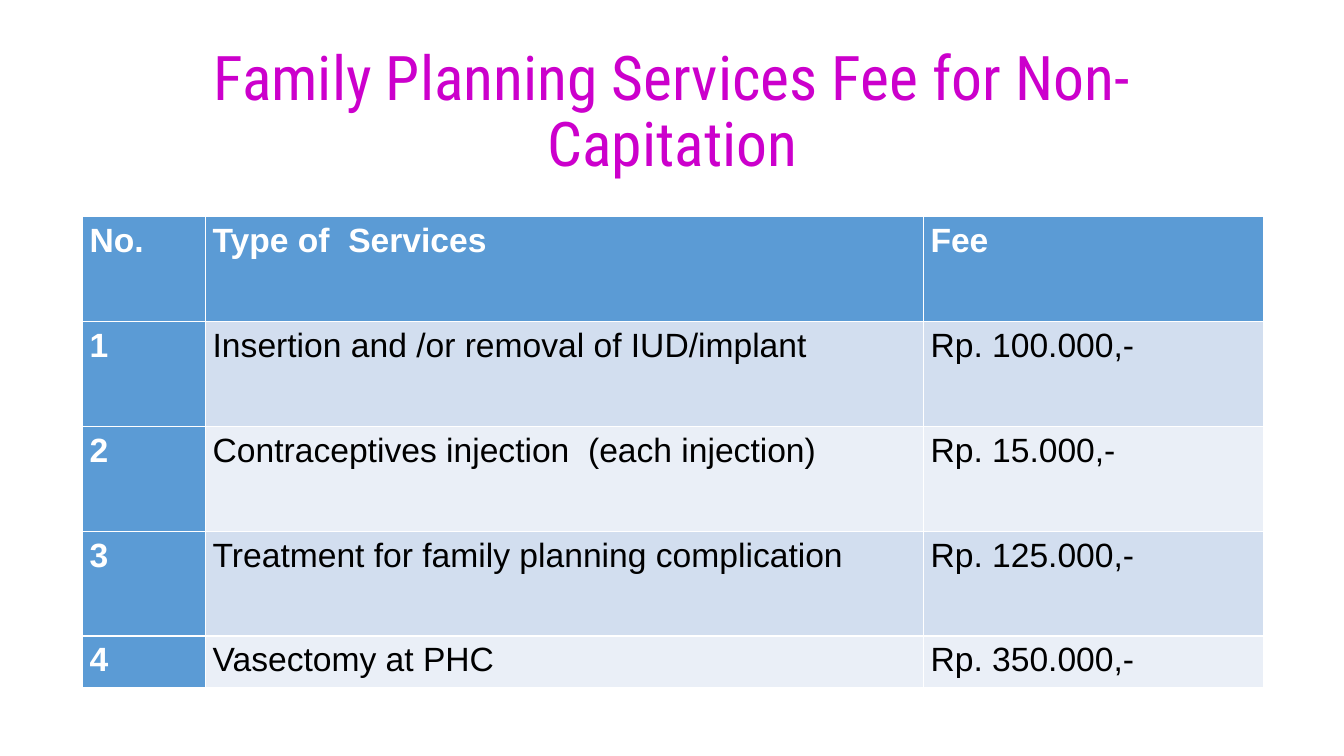
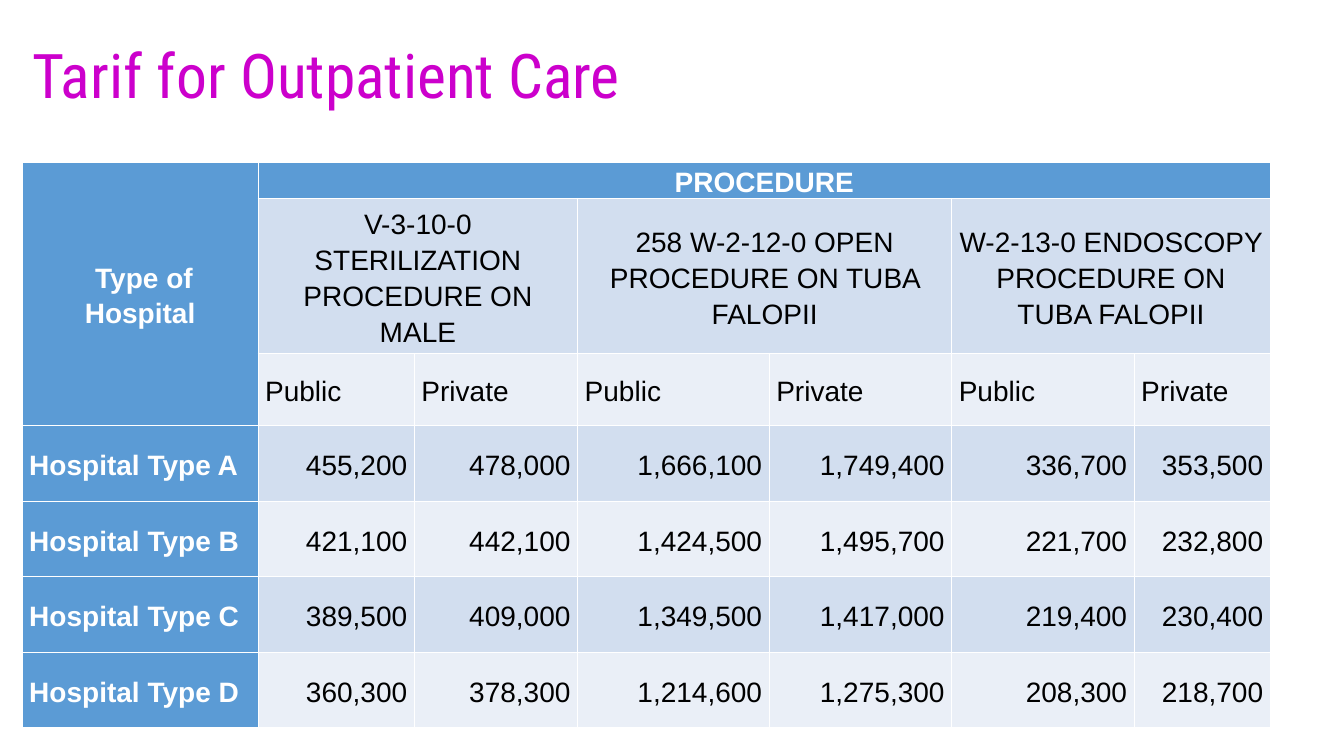
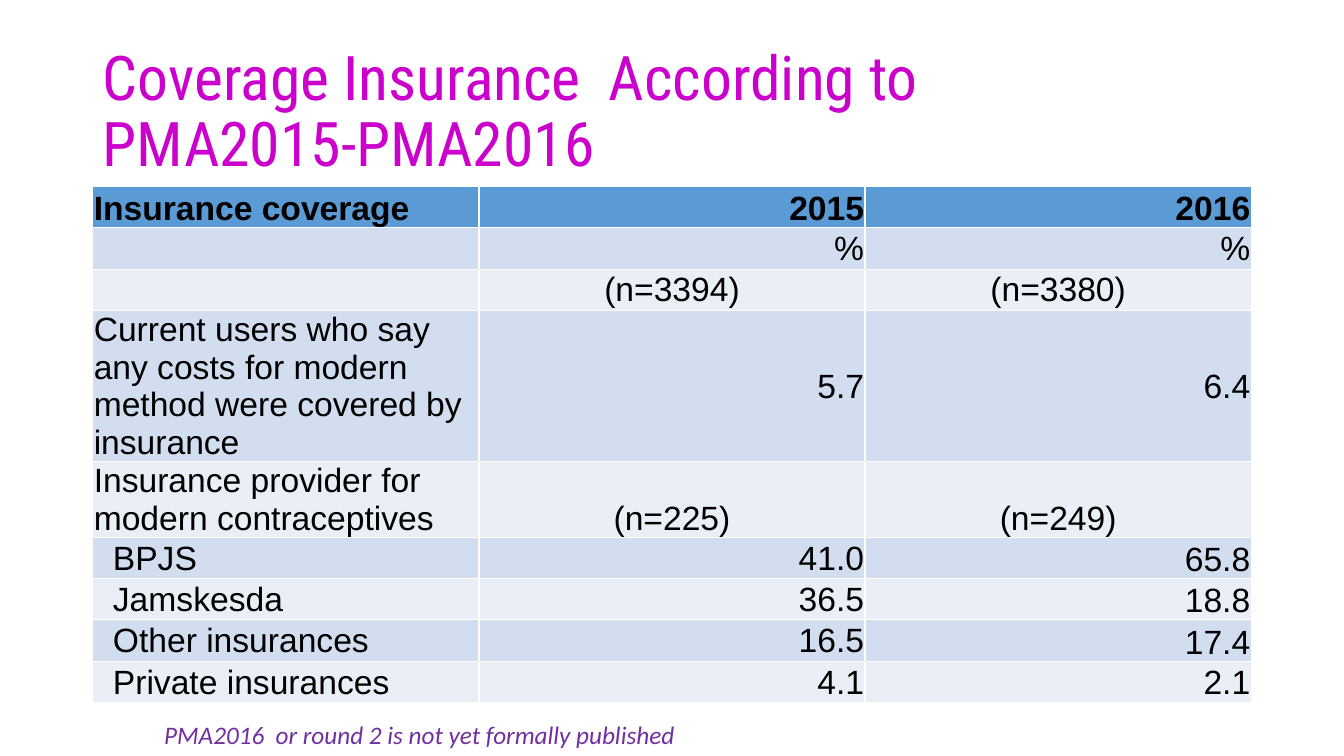
from pptx import Presentation
from pptx.dml.color import RGBColor
from pptx.enum.text import MSO_ANCHOR as Anchor, MSO_AUTO_SIZE as Fit, PP_ALIGN as Align
from pptx.util import Inches, Pt

HUES = {"title": "CC00CC", "head": "5B9BD5", "odd": "D2DEEF", "even": "EAEFF7",
        "white": "FFFFFF", "black": "000000", "note": "7030A0"}


def write(frame, words, size=24, face="Arial", hue="black", bold=False,
          slant=False, align=Align.LEFT, space=None):
    frame.text = words
    for para in frame.paragraphs:
        para.alignment = align
        para.line_spacing = space
        for run in para.runs:
            font = run.font
            font.size, font.name = Pt(size), face
            font.bold, font.italic = bold, slant
            font.color.rgb = RGBColor.from_string(HUES[hue])


def grid(slide, rows, at, cols, highs, side=True, ink="white", pads=(0.07, 0, 0.07, 0),
         anchor=Anchor.MIDDLE, **style):
    """Add a banded table with a blue header row and, with side, a blue first column."""
    box = [Inches(n) for n in (*at, sum(cols), sum(highs))]
    table = slide.shapes.add_table(len(rows), len(cols), *box).table
    table.first_col = side
    for col, wide in zip(table.columns, cols):
        col.width = Inches(wide)
    for row, high in zip(table.rows, highs):
        row.height = Inches(high)
    for r, row in enumerate(rows):
        for c, words in enumerate(row):
            cell = table.cell(r, c)
            head = r == 0 or (side and c == 0)
            fill = "head" if head else ("even", "odd")[r % 2]
            cell.fill.solid()
            cell.fill.fore_color.rgb = RGBColor.from_string(HUES[fill])
            (cell.margin_left, cell.margin_top,
             cell.margin_right, cell.margin_bottom) = [Inches(n) for n in pads]
            cell.vertical_anchor = anchor
            write(cell.text_frame, words, hue=ink if head else "black", bold=head, **style)
    return table


deck = Presentation()
deck.slide_width, deck.slide_height = Inches(13.33), Inches(7.5)

heads = [
    ("Family Planning Services Fee for Non-Capitation", 0.92, 11.5, Align.CENTER, Anchor.MIDDLE),
    ("Tarif for Outpatient Care", 0.22, 12.39, Align.LEFT, Anchor.TOP),
    ("Coverage Insurance  According to \vPMA2015-PMA2016", 0.92, 11.5, Align.LEFT, Anchor.MIDDLE),
]
slides = []
for words, left, wide, align, anchor in heads:
    slide = deck.slides.add_slide(deck.slide_layouts[5])
    title = slide.shapes.title
    title.left, title.top = Inches(left), Inches(0.4)
    title.width, title.height = Inches(wide), Inches(1.45)
    frame = title.text_frame
    frame.auto_size, frame.vertical_anchor = Fit.NONE, anchor
    write(frame, words, size=44, face="Roboto Condensed", hue="title", align=align, space=0.9)
    slides.append(slide)
fees, tariff, cover = slides

# Service fees
grid(fees, [
    ("No.", "Type of  Services", "Fee"),
    ("1", "Insertion and /or removal of IUD/implant", "Rp. 100.000,-"),
    ("2", "Contraceptives injection  (each injection)", "Rp. 15.000,-"),
    ("3", "Treatment for family planning complication", "Rp. 125.000,-"),
    ("4", "Vasectomy at PHC", "Rp. 350.000,-"),
], (0.82, 2.15), (1.22, 7.12, 3.37), [1.04] * 4 + [0.51], anchor=Anchor.TOP, space=1.15)

# Outpatient tariffs
table = grid(tariff, [
    (" Type of Hospital", "PROCEDURE", "", "", "", "", ""),
    ("", "V-3-10-0 STERILIZATION PROCEDURE ON MALE", "",
     "258 W-2-12-0 OPEN PROCEDURE ON TUBA FALOPII", "",
     "W-2-13-0 ENDOSCOPY PROCEDURE ON TUBA FALOPII", ""),
    ("", *("Public", "Private") * 3),
    ("Hospital Type A", "455,200", "478,000", "1,666,100", "1,749,400", "336,700", "353,500"),
    ("Hospital Type B", "421,100", "442,100", "1,424,500", "1,495,700", "221,700", "232,800"),
    ("Hospital Type C", "389,500", "409,000", "1,349,500", "1,417,000", "219,400", "230,400"),
    ("Hospital Type D", "360,300", "378,300", "1,214,600", "1,275,300", "208,300", "218,700"),
], (0.22, 1.61), (2.34, 1.55, 1.62, 1.9, 1.81, 1.81, 1.35),
    [0.36, 1.54, 0.71] + [0.75] * 4, size=20, space=1.15)
for r in range(7):
    for c in range(7):
        para = table.cell(r, c).text_frame.paragraphs[0]
        if r < 2:
            para.alignment = Align.CENTER
        elif r > 2 and c > 0:
            para.alignment = Align.RIGHT
table.cell(0, 0).merge(table.cell(2, 0))
table.cell(0, 1).merge(table.cell(0, 6))
for c in (1, 3, 5):
    table.cell(1, c).merge(table.cell(1, c + 1))

# Insurance coverage
table = grid(cover, [
    ("Insurance coverage", "2015", "2016"),
    ("", "%", "%"),
    ("", "(n=3394)", "(n=3380)"),
    ("Current users who say any costs for modern method were covered by insurance", "5.7", "6.4"),
    ("Insurance provider for modern contraceptives", "(n=225)", "(n=249)"),
    ("BPJS", "41.0", "65.8"),
    ("Jamskesda", "36.5", "18.8"),
    ("Other insurances", "16.5", "17.4"),
    ("Private insurances", "4.1", "2.1"),
], (0.92, 1.85), [3.83] * 3, [0.41] * 3 + [1.49, 0.75] + [0.41] * 4,
    side=False, ink="black", pads=(0.01, 0.01, 0.01, 0))
for r in range(9):
    for c in range(3):
        cell = table.cell(r, c)
        if c > 0:
            count = cell.text.startswith("(")
            cell.text_frame.paragraphs[0].alignment = Align.CENTER if count else Align.RIGHT
        elif r > 4:
            cell.margin_left = Inches(0.2)
        if r == 0 or (r == 4 and c > 0) or (c == 2 and 4 < r < 8):
            cell.vertical_anchor = Anchor.BOTTOM

note = cover.shapes.add_textbox(Inches(1.53), Inches(7.09), Inches(5.37), Inches(0.4))
note.text_frame.word_wrap = False
note.text_frame.auto_size = Fit.SHAPE_TO_FIT_TEXT
write(note.text_frame, "PMA2016  or round 2 is not yet formally published",
      size=18, face="Calibri", hue="note", slant=True)

deck.save("out.pptx")
